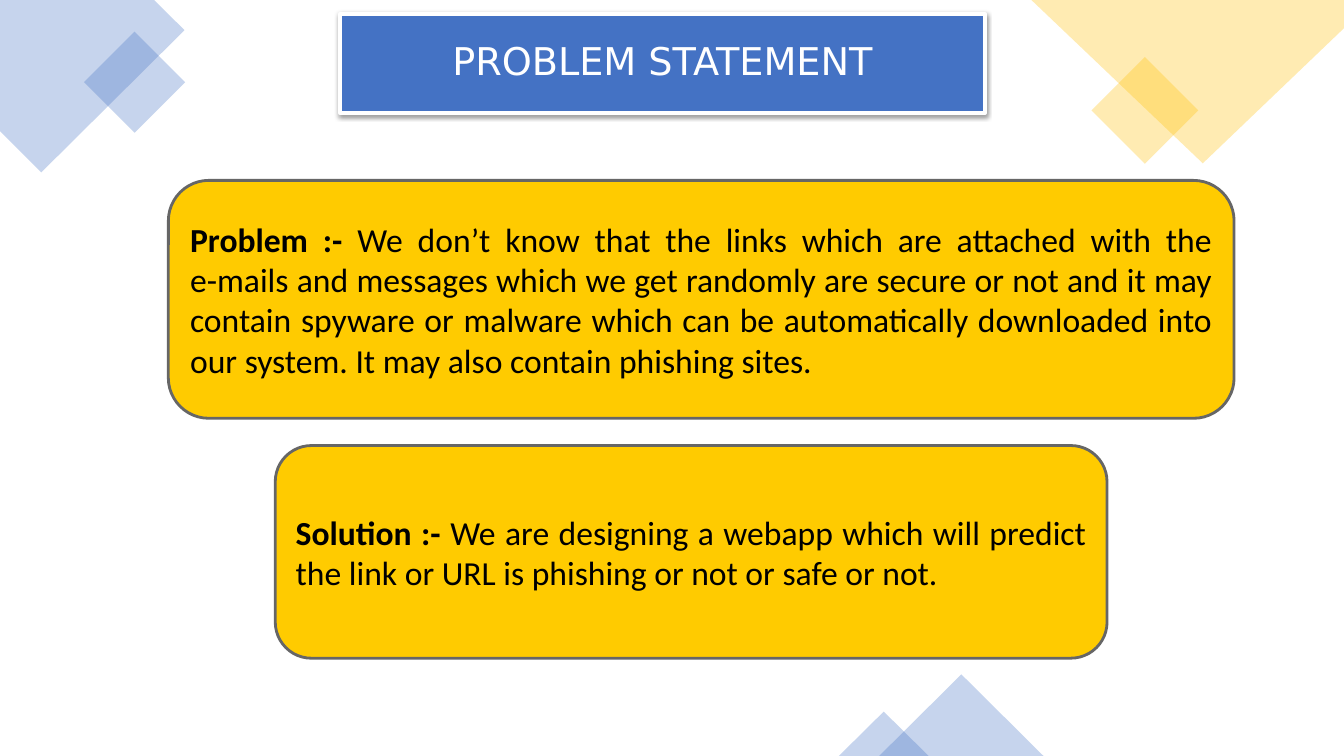
from dataclasses import dataclass

from lxml import etree
from pptx import Presentation
from pptx.dml.color import RGBColor
from pptx.enum.shapes import MSO_SHAPE
from pptx.enum.text import MSO_ANCHOR, MSO_AUTO_SIZE, PP_ALIGN
from pptx.oxml.ns import qn
from pptx.shapes.base import BaseShape
from pptx.slide import Slide
from pptx.util import Inches, Pt

RECT = MSO_SHAPE.RECTANGLE
ROUND = MSO_SHAPE.ROUNDED_RECTANGLE
PEAK = MSO_SHAPE.ISOSCELES_TRIANGLE
MIDDLE = MSO_ANCHOR.MIDDLE
FIXED = MSO_AUTO_SIZE.NONE
CENTER = PP_ALIGN.CENTER
JUSTIFY = PP_ALIGN.JUSTIFY
BLUE = "4472C4"
GOLD = "FFC000"
TITLE_BOX = (3.37, 0.14, 6.4, 0.98)


@dataclass
class Facet:
    points: list[tuple[float, float]]
    tint: str


@dataclass
class Accent:
    kind: MSO_SHAPE
    box: tuple[float, float, float, float]
    turn: int
    tint: str


@dataclass
class Card:
    box: tuple[float, float, float, float]
    label: str
    lines: list[str]


FACETS = [
    Facet([(1.53, 0), (0, 0), (0, 1.3), (0.41, 1.71), (1.83, 0.3)], BLUE),
    Facet([(13.33, 0), (10.23, 0), (11.93, 1.62), (13.33, 0.28)], GOLD),
]
ACCENTS = [
    Accent(RECT, (0.98, 0.46, 0.71, 0.71), 315, BLUE),
    Accent(RECT, (10.98, 0.72, 0.75, 0.75), 315, GOLD),
    Accent(PEAK, (8.72, 6.69, 1.63, 0.81), 0, BLUE),
    Accent(PEAK, (8.32, 7.06, 0.89, 0.44), 0, BLUE),
]
CARDS = [
    Card((1.67, 1.79, 10.57, 2.36), "Problem :- ", [
        "We don’t know that the links which are attached with the",
        "e-mails and messages which we get randomly are secure or not and it may "
        "contain spyware or malware which can be automatically downloaded into "
        "our system. It may also contain phishing sites.",
    ]),
    Card((2.73, 4.42, 8.25, 2.11), "Solution :- ", [
        "We are designing a webapp which will predict the link or URL is "
        "phishing or not or safe or not.",
    ]),
]


def color(code: str) -> RGBColor:
    return RGBColor.from_string(code)


def paint(shape: BaseShape, fill: str, edge: str = "", width: float = 0) -> None:
    shape.fill.solid()
    shape.fill.fore_color.rgb = color(fill)
    if edge:
        shape.line.color.rgb = color(edge)
        shape.line.width = Pt(width)
    else:
        shape.line.fill.background()


def fade(parent: etree._Element, share: int) -> None:
    tone = next(parent.iter(qn("a:srgbClr")))
    etree.SubElement(tone, qn("a:alpha"), val=str(share * 1000))


def tint(shape: BaseShape, code: str) -> None:
    shape.shadow.inherit = False
    paint(shape, code)
    fade(shape.element.spPr, 30)


def add_facet(slide: Slide, facet: Facet) -> None:
    points = [(Inches(x), Inches(y)) for x, y in facet.points]
    form = slide.shapes.build_freeform(*points[0])
    form.add_line_segments(points[1:], close=True)
    tint(form.convert_to_shape(), facet.tint)


def add_accent(slide: Slide, accent: Accent) -> None:
    shape = slide.shapes.add_shape(accent.kind, *map(Inches, accent.box))
    shape.rotation = accent.turn
    tint(shape, accent.tint)


def add_title(slide: Slide) -> None:
    title = slide.shapes.title
    title.left, title.top, title.width, title.height = map(Inches, TITLE_BOX)
    paint(title, BLUE, "FFFFFF", 3)
    title.shadow.inherit = False
    effects = title.element.spPr.find(qn("a:effectLst"))
    shade = etree.SubElement(
        effects, qn("a:outerShdw"), blurRad=str(Pt(3.1)), dist=str(Pt(1.6)),
        dir="5400000", algn="ctr", rotWithShape="0",
    )
    etree.SubElement(shade, qn("a:srgbClr"), val="000000")
    fade(shade, 38)
    frame = title.text_frame
    frame.auto_size = FIXED
    frame.vertical_anchor = MIDDLE
    frame.text = "PROBLEM STATEMENT"
    para = frame.paragraphs[0]
    para.alignment = CENTER
    para.line_spacing = 0.9
    para.font.name = "DejaVu Sans"
    para.font.size = Pt(27.3)
    para.font.color.rgb = color("FFFFFF")


def add_card(slide: Slide, card: Card) -> None:
    shape = slide.shapes.add_shape(ROUND, *map(Inches, card.box))
    shape.shadow.inherit = False
    shape.adjustments[0] = 0.17
    paint(shape, "FFCB00", "666666", 2)
    frame = shape.text_frame
    frame.word_wrap = True
    frame.vertical_anchor = MIDDLE
    para = frame.paragraphs[0]
    para.alignment = JUSTIFY
    para.font.name = "Calibri"
    para.font.size = Pt(24)
    para.font.color.rgb = color("000000")
    label = para.add_run()
    label.text = card.label
    label.font.bold = True
    for i, line in enumerate(card.lines):
        if i:
            para.add_line_break()
        para.add_run().text = line


def main() -> None:
    deck = Presentation()
    deck.slide_width = Inches(13.33)
    deck.slide_height = Inches(7.5)
    slide = deck.slides.add_slide(deck.slide_layouts[5])
    for facet in FACETS:
        add_facet(slide, facet)
    for accent in ACCENTS:
        add_accent(slide, accent)
    add_title(slide)
    for card in CARDS:
        add_card(slide, card)
    deck.save("out.pptx")


if __name__ == "__main__":
    main()
